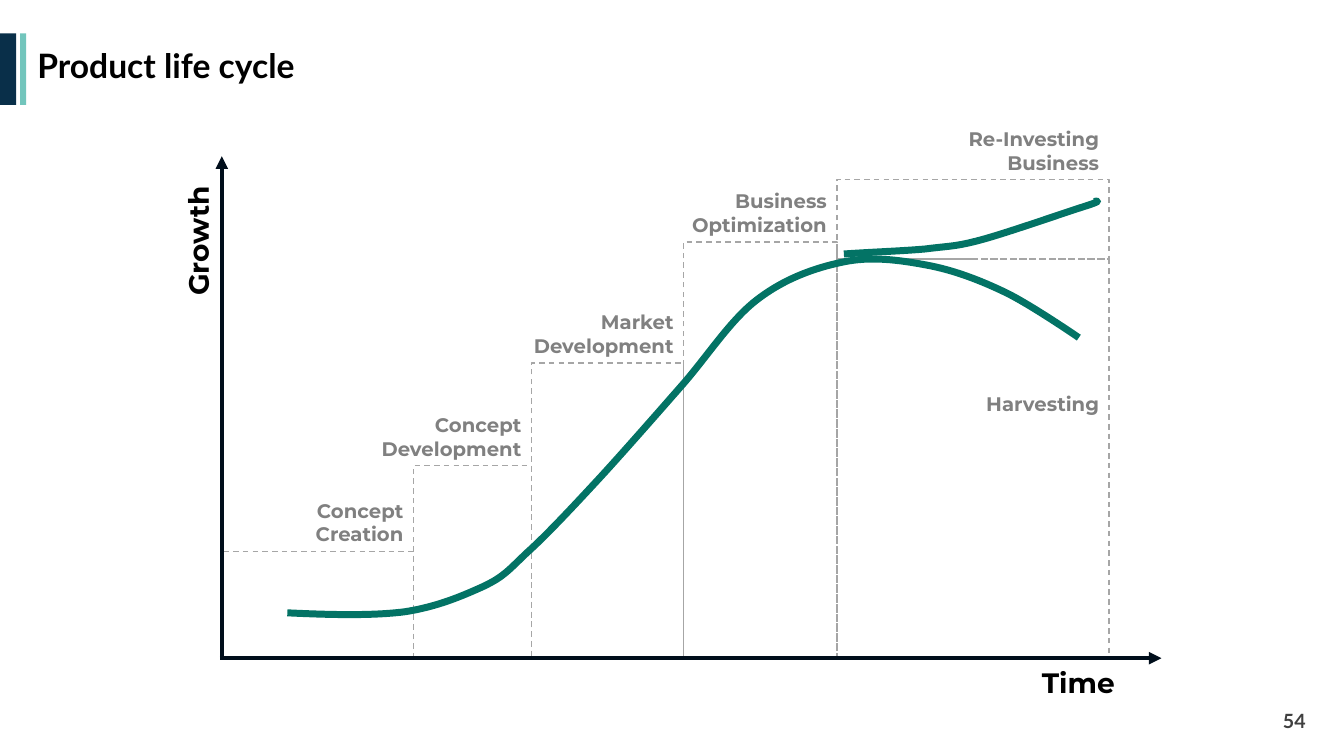
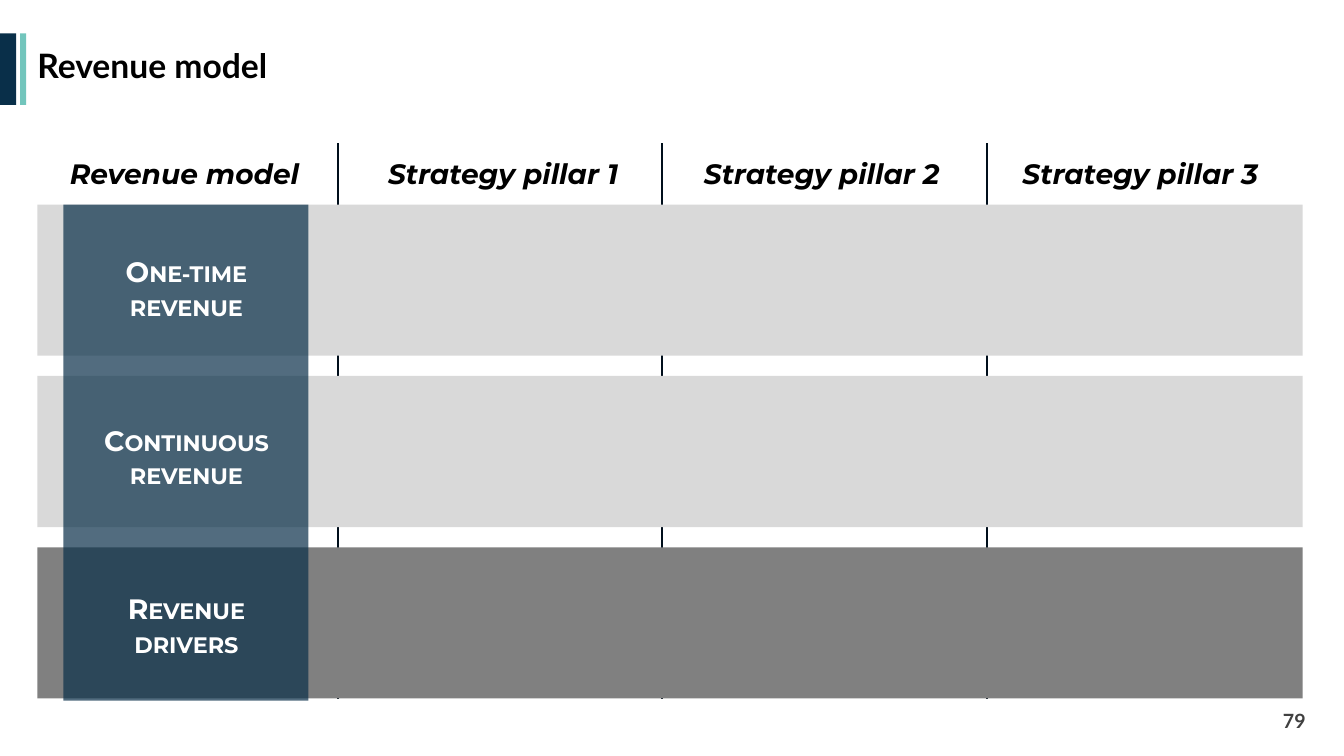
from lxml.etree import SubElement
from pptx import Presentation
from pptx.dml.color import RGBColor
from pptx.enum.dml import MSO_LINE
from pptx.enum.shapes import MSO_CONNECTOR, MSO_SHAPE
from pptx.enum.text import MSO_ANCHOR, MSO_AUTO_SIZE, PP_ALIGN
from pptx.oxml.ns import qn
from pptx.util import Inches, Pt

COLORS = {
    "navy": "092F49",
    "mint": "72C5BC",
    "axis": "000E1B",
    "curve": "037365",
    "dash": "A6A6A6",
    "label": "808080",
    "bar": "D9D9D9",
    "drivers": "808080",
    "number": "404040",
    "black": "000000",
    "white": "FFFFFF",
}
TITLE_FONT = "Lato"
BODY_FONT = "Montserrat"
TITLE_BOX = (0.27, 0.32, 12.77, 0.71)
NUMBER_BOX = (10.05, 6.95, 3, 0.4)
BANDS = [((0, 0.33, 0.16, 0.71), "navy"), ((0.2, 0.33, 0.06, 0.71), "mint")]

CHART_BOX = (2.2, 1.53, 9.32, 5)
STAGE_EDGES = [0, 1.9, 3.07, 4.58, 6.1, 8.8]
STAGES = [
    (3.94, ["Concept Creation"]),
    (3.09, ["Concept", "Development"]),
    (2.07, ["Market", "Development"]),
    (0.87, ["Business", "Optimization"]),
]
REINVEST_TOP = 0.25
HARVEST_TOP = 1.04
LIFE_CURVE = [
    (0.65, 4.55), (1.07, 4.57), (1.49, 4.58), (1.81, 4.54),
    (2.14, 4.49), (2.39, 4.38), (2.59, 4.29),
    (2.8, 4.19), (2.84, 4.13), (3.03, 3.95),
    (3.22, 3.78), (3.49, 3.49), (3.74, 3.22),
    (3.99, 2.95), (4.54, 2.32), (4.54, 2.32),
    (4.8, 2.03), (5.03, 1.66), (5.3, 1.45),
    (5.57, 1.24), (5.87, 1.13), (6.16, 1.07),
    (6.44, 1.01), (6.72, 1.05), (6.99, 1.1),
    (7.26, 1.15), (7.52, 1.25), (7.77, 1.37),
    (8.02, 1.49), (8.5, 1.82), (8.5, 1.82),
]
REINVEST_CURVE = [
    (6.17, 0.99), (6.46, 0.97), (6.76, 0.96), (6.98, 0.94),
    (7.21, 0.91), (7.27, 0.92), (7.53, 0.85),
    (7.79, 0.78), (8.36, 0.58), (8.55, 0.52),
    (8.74, 0.46), (8.69, 0.46), (8.65, 0.47),
]

MODEL_BOX = (0.37, 1.42, 12.55, 5.51)
MODEL_HEADERS = ["Revenue model", "Strategy pillar 1", "Strategy pillar 2", "Strategy pillar 3"]
MODEL_ROWS = [
    ("bar", ["One-time", "revenue"]),
    ("bar", ["Continuous", "revenue"]),
    ("drivers", ["Revenue", "drivers"]),
]


def rgb(name):
    return RGBColor.from_string(COLORS[name])


def inches(box):
    return [Inches(length) for length in box]


def format_paragraph(paragraph, size, color, name, align, italic=None):
    paragraph.alignment = align
    font = paragraph.font
    font.size = Pt(size)
    font.name = name
    font.bold = True
    font.italic = italic
    font.color.rgb = rgb(color)


def add_text(slide, box, lines, size, color, name=BODY_FONT, align=PP_ALIGN.CENTER, italic=None):
    shape = slide.shapes.add_textbox(*inches(box))
    frame = shape.text_frame
    frame.word_wrap = True
    frame.auto_size = MSO_AUTO_SIZE.SHAPE_TO_FIT_TEXT
    frame.text = "\n".join(lines)
    for paragraph in frame.paragraphs:
        format_paragraph(paragraph, size, color, name, align, italic)
    return shape


def add_filled_rectangle(slide, box, color):
    shape = slide.shapes.add_shape(MSO_SHAPE.RECTANGLE, *inches(box))
    shape.shadow.inherit = False
    shape.fill.solid()
    shape.fill.fore_color.rgb = rgb(color)
    shape.line.fill.background()
    return shape


def add_dashed_rectangle(slide, box):
    shape = slide.shapes.add_shape(MSO_SHAPE.RECTANGLE, *inches(box))
    shape.shadow.inherit = False
    shape.fill.background()
    shape.line.color.rgb = rgb("dash")
    shape.line.width = Pt(1)
    shape.line.dash_style = MSO_LINE.DASH


def add_line(slide, ends, width, arrow=False):
    connector = slide.shapes.add_connector(MSO_CONNECTOR.STRAIGHT, *inches(ends))
    connector.line.color.rgb = rgb("axis")
    connector.line.width = Pt(width)
    properties = connector.element.spPr
    if arrow:
        SubElement(properties.find(qn("a:ln")), qn("a:tailEnd"), type="triangle")
    SubElement(properties, qn("a:effectLst"))


def add_curve(slide, left, top, points):
    start, *rest = [(Inches(left + x), Inches(top + y)) for x, y in points]
    builder = slide.shapes.build_freeform(*start)
    builder.add_line_segments(rest, close=False)
    shape = builder.convert_to_shape()
    outline = next(shape.element.iter(qn("a:path")))
    segments = outline.findall(qn("a:lnTo"))
    for first in range(0, len(segments), 3):
        bezier = SubElement(outline, qn("a:cubicBezTo"))
        for segment in segments[first:first + 3]:
            bezier.append(segment[0])
            outline.remove(segment)
    shape.shadow.inherit = False
    shape.fill.background()
    shape.line.color.rgb = rgb("curve")
    shape.line.width = Pt(5)


def add_layout_bands(slide):
    tree = slide.slide_layout.shapes.element
    for index, (box, color) in enumerate(BANDS):
        band = add_filled_rectangle(slide, box, color).element
        band.nvSpPr.cNvPr.set("id", str(100 + index))
        tree.insert(2 + index, band)


def add_titled_slide(presentation, title, number):
    slide = presentation.slides.add_slide(presentation.slide_layouts[5])
    shape = slide.shapes.title
    shape.left, shape.top, shape.width, shape.height = inches(TITLE_BOX)
    frame = shape.text_frame
    frame.text = title
    frame.word_wrap = True
    frame.auto_size = MSO_AUTO_SIZE.NONE
    frame.vertical_anchor = MSO_ANCHOR.MIDDLE
    paragraph = frame.paragraphs[0]
    paragraph.line_spacing = 0.9
    format_paragraph(paragraph, 24, "black", TITLE_FONT, PP_ALIGN.LEFT)
    footer = add_text(slide, NUMBER_BOX, [number], 14, "number", TITLE_FONT, PP_ALIGN.RIGHT)
    footer.text_frame.auto_size = MSO_AUTO_SIZE.NONE
    footer.text_frame.vertical_anchor = MSO_ANCHOR.MIDDLE
    return slide


def add_stage_label(slide, right, bottom, lines, height=0.57):
    box = (right - 1.59, bottom - height, 1.59, height)
    add_text(slide, box, lines, 14, "label", align=PP_ALIGN.RIGHT)


def draw_life_cycle(slide, box):
    left, top, width, height = box
    floor = top + height
    edges = [left + edge for edge in STAGE_EDGES]
    last_left, last_right = edges[-2:]
    last_width = last_right - last_left
    for start, end, (stage_top, _) in zip(edges, edges[1:], STAGES):
        add_dashed_rectangle(slide, (start, top + stage_top, end - start, height - stage_top))
    for upper, lower in [(HARVEST_TOP, height), (REINVEST_TOP, HARVEST_TOP)]:
        add_dashed_rectangle(slide, (last_left, top + upper, last_width, lower - upper))
    add_line(slide, (left - 0.02, floor, left + width, floor), 3, arrow=True)
    add_line(slide, (left, floor, left, top + 0.02), 3, arrow=True)
    growth = add_text(slide, (left - 1.2, top + 0.64, 1.93, 0.44), ["Growth"], 20, "black")
    growth.rotation = 270
    add_text(slide, (left + 7.53, floor + 0.02, 1.93, 0.44), ["Time"], 20, "black")
    for points in (LIFE_CURVE, REINVEST_CURVE):
        add_curve(slide, left, top, points)
    for end, (stage_top, lines) in zip(edges[1:], STAGES):
        add_stage_label(slide, end, top + stage_top, lines)
    add_stage_label(slide, last_right, top + REINVEST_TOP, ["Re-Investing", "Business"])
    add_stage_label(slide, last_right, top + 2.65, ["Harvesting"], 0.34)


def draw_revenue_model(slide, box):
    left, top, width, height = box
    for index in range(len(MODEL_HEADERS) - 1):
        divider = left + 2.98 + 3.22 * index
        add_line(slide, (divider, top, divider, top + height), 1.5)
    rows_top = top + 0.61
    for index, (color, _) in enumerate(MODEL_ROWS):
        add_filled_rectangle(slide, (left, rows_top + 1.7 * index, width, 1.5), color)
    column = add_filled_rectangle(slide, (left + 0.26, rows_top, 2.43, 4.92), "navy")
    fill_color = next(column.element.spPr.iter(qn("a:srgbClr")))
    SubElement(fill_color, qn("a:alpha"), val="70000")
    for index, (_, lines) in enumerate(MODEL_ROWS):
        label_box = (left + 0.33, rows_top + 0.45 + 1.67 * index, 2.3, 0.77)
        label = add_text(slide, label_box, lines, 20, "white")
        for paragraph in label.text_frame.paragraphs:
            paragraph._p.get_or_add_pPr().get_or_add_defRPr().set("cap", "small")
    for index, header in enumerate(MODEL_HEADERS):
        header_box = (left + 0.05 + 3.16 * index, top + 0.08, 2.82, 0.44)
        add_text(slide, header_box, [header], 20, "black", italic=True)


def main():
    presentation = Presentation()
    presentation.slide_width = Inches(13.33)
    presentation.slide_height = Inches(7.5)
    life_cycle = add_titled_slide(presentation, "Product life cycle", "54")
    add_layout_bands(life_cycle)
    draw_life_cycle(life_cycle, CHART_BOX)
    revenue_model = add_titled_slide(presentation, "Revenue model", "79")
    draw_revenue_model(revenue_model, MODEL_BOX)
    presentation.save("out.pptx")


if __name__ == "__main__":
    main()
